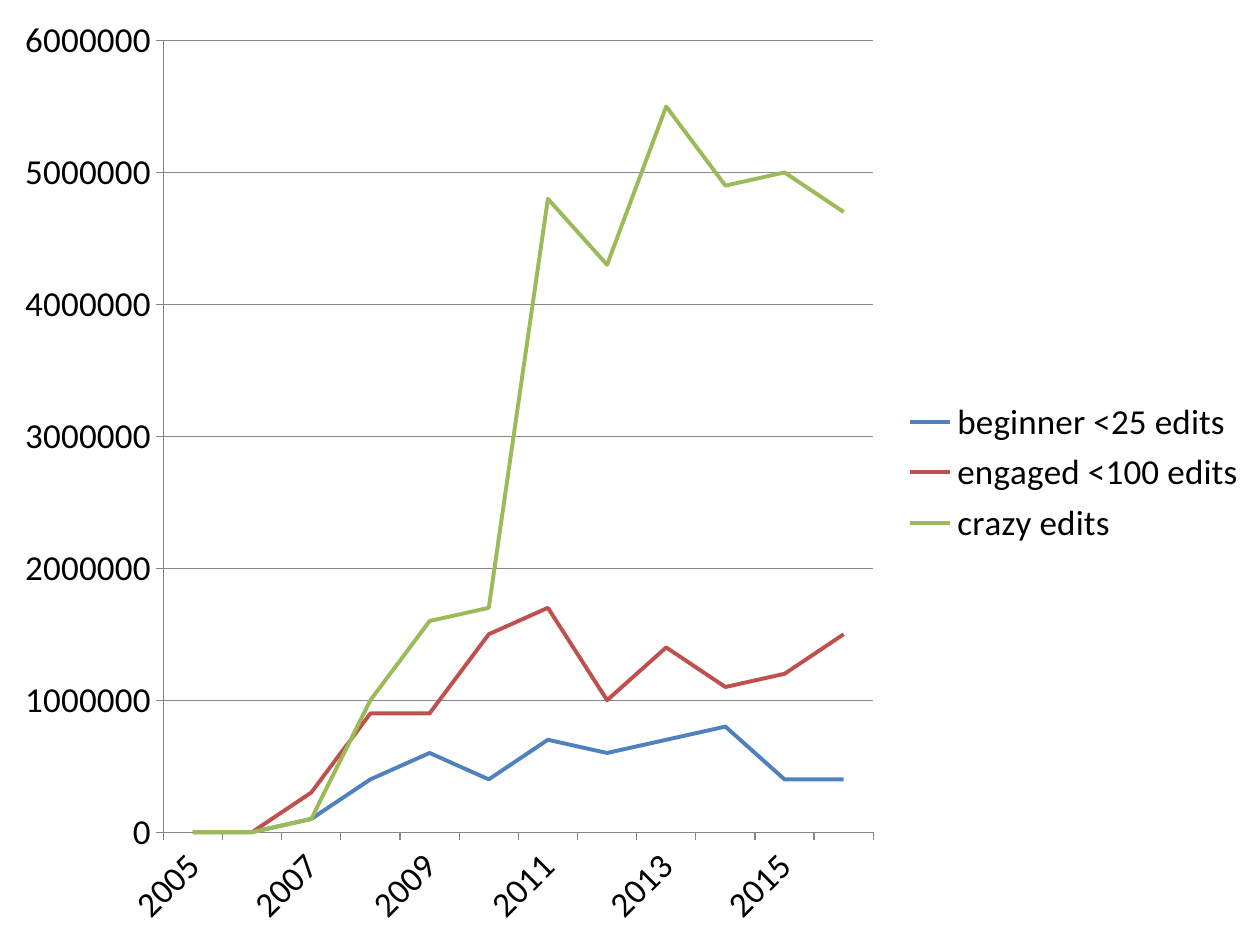
from pptx import Presentation
from pptx.chart.data import CategoryChartData
from pptx.dml.color import RGBColor
from pptx.enum.chart import XL_CHART_TYPE, XL_LEGEND_POSITION, XL_TICK_MARK
from pptx.util import Inches, Pt

LINE = XL_CHART_TYPE.LINE
RIGHT = XL_LEGEND_POSITION.RIGHT
OUT = XL_TICK_MARK.OUTSIDE
NONE = XL_TICK_MARK.NONE
BLANK = 6

YEARS = [str(year) for year in range(2005, 2017)]
UNIT = 100000
EDITS = [
    ("beginner <25 edits", "4F81BD", [0, 0, 1, 4, 6, 4, 7, 6, 7, 8, 4, 4]),
    ("engaged <100 edits", "C0504D", [0, 0, 3, 9, 9, 15, 17, 10, 14, 11, 12, 15]),
    ("crazy edits", "9BBB59", [0, 0, 1, 10, 16, 17, 48, 43, 55, 49, 50, 47]),
]


def color(value):
    """Turn a hex string into a colour."""
    return RGBColor.from_string(value)


def style_font(font, size):
    """Set black Calibri at the given size."""
    font.name = "Calibri"
    font.size = Pt(size)
    font.color.rgb = color("000000")


def style_line(line, value, width):
    """Set the colour and width of a line."""
    line.color.rgb = color(value)
    line.width = Pt(width)


def style_axis(axis):
    """Give an axis grey lines, outer ticks and large labels."""
    axis.major_tick_mark = OUT
    axis.minor_tick_mark = NONE
    style_line(axis.format.line, "868686", 0.75)
    style_font(axis.tick_labels.font, 20)


def add_edits(slide, left, top, width, height):
    """Draw the yearly edits as a line chart in the given box."""
    data = CategoryChartData(number_format="General")
    data.categories = YEARS
    for name, _, counts in EDITS:
        data.add_series(name, [count * UNIT for count in counts])
    chart = slide.shapes.add_chart(LINE, left, top, width, height, data).chart
    chart.has_title = False
    style_font(chart.font, 10)
    for series, (_, value, _) in zip(chart.plots[0].series, EDITS):
        series.smooth = False
        style_line(series.format.line, value, 2.25)

    style_axis(chart.category_axis)
    scale = chart.value_axis
    style_axis(scale)
    scale.minimum_scale = 0
    scale.maximum_scale = 6000000
    scale.major_unit = 1000000
    scale.has_major_gridlines = True
    style_line(scale.major_gridlines.format.line, "868686", 0.75)

    chart.has_legend = True
    chart.legend.position = RIGHT
    chart.legend.include_in_layout = False
    style_font(chart.legend.font, 20)


def main():
    """Build and save the slide."""
    deck = Presentation()
    deck.slide_width = Inches(10)
    deck.slide_height = Inches(7.5)
    slide = deck.slides.add_slide(deck.slide_layouts[BLANK])
    add_edits(slide, 0, 0, deck.slide_width, deck.slide_height)
    deck.save("out.pptx")


if __name__ == "__main__":
    main()
